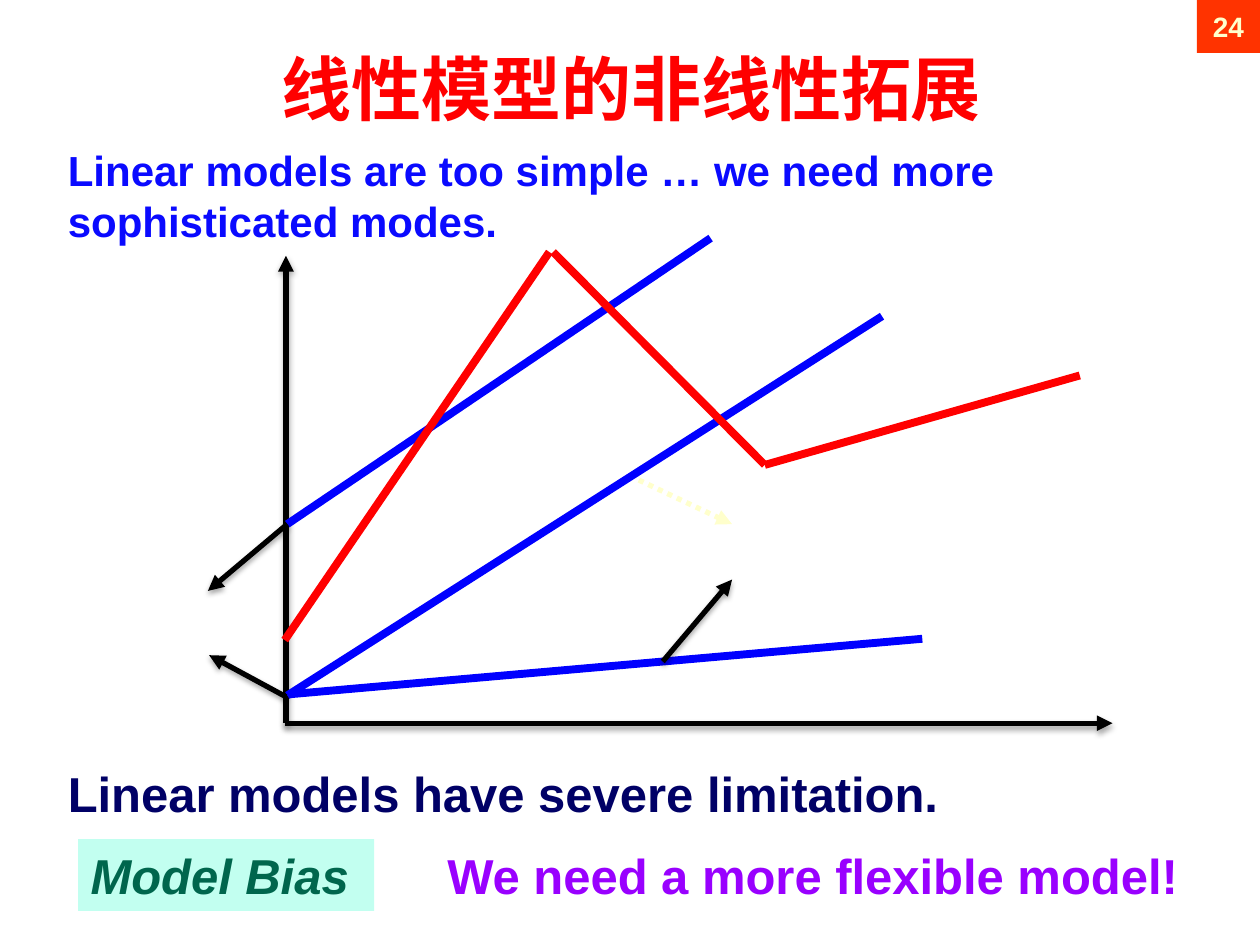
import pptx
import pptx.util
import pptx.dml.color
import pptx.enum.dml
import pptx.enum.shapes
import pptx.enum.text
import pptx.oxml
import pptx.oxml.ns
import lxml.etree as etree

Inches, Pt = pptx.util.Inches, pptx.util.Pt
qn = pptx.oxml.ns.qn
ALIGN = pptx.enum.text.PP_ALIGN
ANCHOR = pptx.enum.text.MSO_ANCHOR

THEME = {
    "latin": "Arial", "han": "Noto Sans CJK SC",
    "black": "000000", "blue": "0000FF", "red": "FF0000", "cream": "FFFFCC",
    "navy": "000066", "violet": "9900FF", "royal": "0A0AFF",
    "green": "00664D", "mint": "C2FFF0", "orange": "FF3300",
    "title": 40, "lead": 24, "body": 28, "page": 16,
    "thin": 3, "thick": 4.5,
}

# Content: lines as (from, to), in drawing order
AXES = [((2.26, 5.74), (8.83, 5.74)), ((2.27, 5.74), (2.27, 2.03))]
MODELS = [((2.28, 5.52), (7, 2.51)), ((2.3, 5.51), (7.32, 5.07)),
          ((2.28, 4.16), (5.64, 1.89))]
TARGET = [((2.26, 5.08), (4.36, 2)), ((4.39, 2), (6.07, 3.69)),
          ((8.57, 2.98), (6.07, 3.69))]
BIASES = [((2.28, 4.16), (1.65, 4.69)), ((2.27, 5.53), (1.66, 5.2))]
FAINT = [((5.07, 3.81), (5.81, 4.16))]
SLOPE = [((5.26, 5.25), (5.81, 4.6))]

# Content: texts as (words, box, size, colour, options)
TEXTS = [
    ("Linear models have severe limitation.", (0.44, 6.01, 7.64, 0.57),
     "body", "navy", {}),
    ("We need a more flexible model!", (3.32, 6.66, 6.26, 0.57),
     "body", "violet", {"center": True}),
    ("Model Bias", (0.62, 6.66, 2.35, 0.57),
     "body", "green", {"fill": "mint", "italic": True}),
    ("Linear models are too simple … we need more sophisticated modes.",
     (0.44, 1.1, 9.35, 0.91), "lead", "royal", {}),
    ("线性模型的非线性拓展", (0.15, 0.24, 9.72, 0.91),
     "title", "red", {"center": True, "middle": True, "font": "han"}),
    ("24", (9.5, 0, 0.5, 0.42), "page", "cream",
     {"fill": "orange", "center": True, "middle": True}),
]

SHADE = """<a:effectLst xmlns:a="http://schemas.openxmlformats.org/drawingml/2006/main">
<a:outerShdw blurRad="%d" dist="%d" dir="5400000" rotWithShape="0">
<a:srgbClr val="000000"><a:alpha val="35000"/></a:srgbClr></a:outerShdw>
</a:effectLst>""" % (Pt(3.1), Pt(1.8))


def tint(name):
    return pptx.dml.color.RGBColor.from_string(THEME[name])


def draw(slide, lines, color, width, arrow=False, shade=False, dots=False):
    for start, end in lines:
        line = slide.shapes.add_connector(
            pptx.enum.shapes.MSO_CONNECTOR.STRAIGHT,
            *[Inches(v) for v in start + end])
        line.line.color.rgb = tint(color)
        line.line.width = Pt(THEME[width])
        if dots:
            line.line.dash_style = pptx.enum.dml.MSO_LINE.ROUND_DOT
        props = line._element.spPr
        if arrow:
            etree.SubElement(props.find(qn("a:ln")), qn("a:tailEnd"),
                             type="triangle")
        if shade:
            props.append(pptx.oxml.parse_xml(SHADE))
        else:
            etree.SubElement(props, qn("a:effectLst"))


def write(slide, words, box, size, color, fill=None, center=False,
          middle=False, italic=False, font="latin"):
    place = [Inches(v) for v in box]
    if fill:
        shape = slide.shapes.add_shape(
            pptx.enum.shapes.MSO_SHAPE.RECTANGLE, *place)
        shape.shadow.inherit = False
        shape.fill.solid()
        shape.fill.fore_color.rgb = tint(fill)
        shape.line.fill.background()
    else:
        shape = slide.shapes.add_textbox(*place)
    frame = shape.text_frame
    frame.text = words
    frame.word_wrap = True
    frame.vertical_anchor = ANCHOR.MIDDLE if middle else ANCHOR.TOP
    para = frame.paragraphs[0]
    para.alignment = ALIGN.CENTER if center else ALIGN.LEFT
    run = para.runs[0]
    run.font.size = Pt(THEME[size])
    run.font.bold = True
    run.font.italic = italic
    run.font.color.rgb = tint(color)
    run.font.name = THEME[font]
    if font == "han":
        etree.SubElement(run._r.get_or_add_rPr(), qn("a:ea"),
                         typeface=THEME[font])


def main():
    deck = pptx.Presentation()
    deck.slide_width, deck.slide_height = Inches(10), Inches(7.5)
    slide = deck.slides.add_slide(deck.slide_layouts[6])

    # Graph: axes, linear models, true curve, pointers
    draw(slide, AXES, "black", "thin", arrow=True, shade=True)
    draw(slide, MODELS, "blue", "thick")
    draw(slide, TARGET, "red", "thick")
    draw(slide, BIASES, "black", "thin", arrow=True, shade=True)
    draw(slide, FAINT, "cream", "thin", arrow=True, dots=True)
    draw(slide, SLOPE, "black", "thin", arrow=True, shade=True)

    # Title, statements and page number
    for words, box, size, color, extra in TEXTS:
        write(slide, words, box, size, color, **extra)

    deck.save("out.pptx")


if __name__ == "__main__":
    main()
